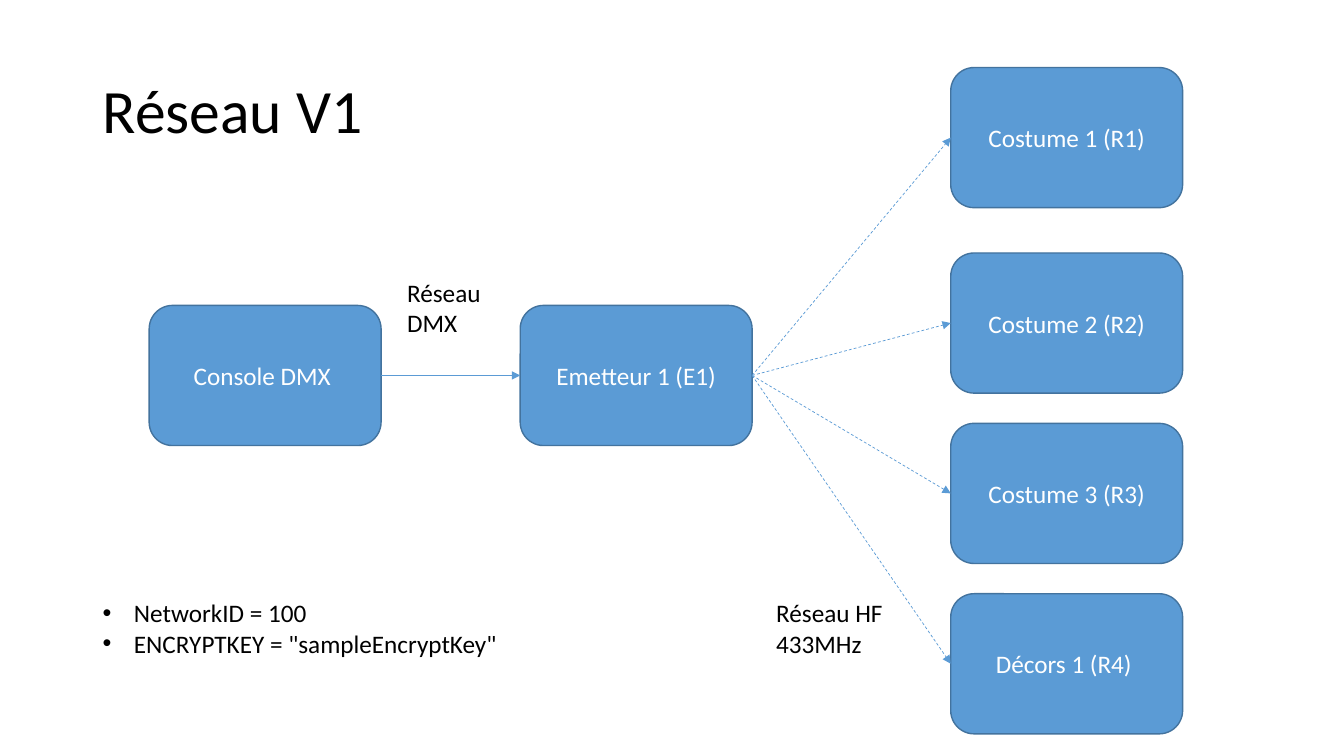
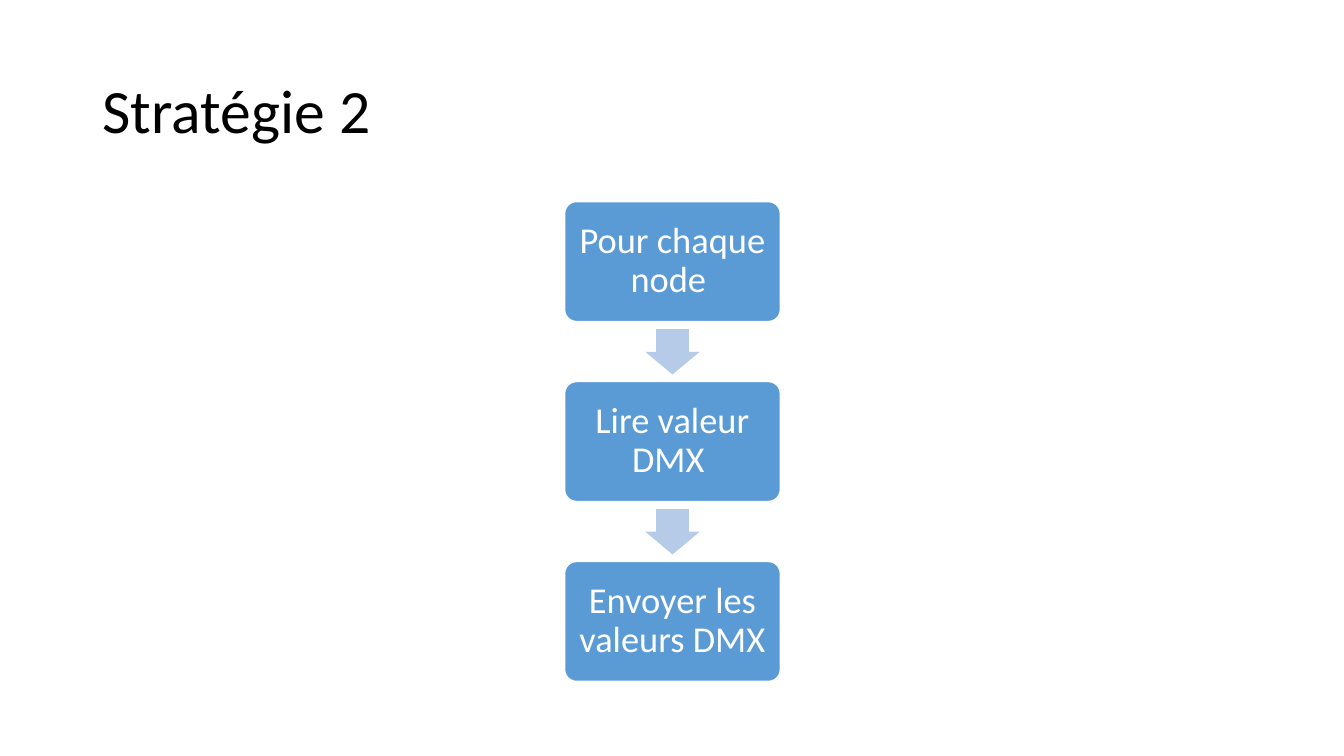
from dataclasses import dataclass
from lxml.etree import SubElement as Sub
from pptx import Presentation
from pptx.dml.color import RGBColor as RGB
from pptx.enum.dml import MSO_LINE as Dash
from pptx.enum.shapes import MSO_CONNECTOR as Link, MSO_SHAPE as Form
from pptx.enum.text import MSO_ANCHOR as Anchor, PP_ALIGN as Align
from pptx.oxml.ns import qn
from pptx.util import Inches, Pt


@dataclass(frozen=True)
class Theme:
    font: str = "Calibri"
    ink: RGB = RGB(0, 0, 0)
    white: RGB = RGB(255, 255, 255)
    blue: RGB = RGB(0x5B, 0x9B, 0xD5)
    edge: RGB = RGB(0x43, 0x73, 0x9E)
    pale: RGB = RGB(0xB5, 0xCB, 0xE7)
    title: int = 44
    step: int = 26
    body: int = 18
    tight: float = 0.9


T = Theme()
LEFT, RIGHT = 1, 3


def write(frame, lines, size, color, align=Align.LEFT, space=1.0):
    frame.word_wrap = True
    for i, line in enumerate(lines):
        para = frame.paragraphs[0] if i == 0 else frame.add_paragraph()
        para.text = line
        para.alignment = align
        para.line_spacing = space
        font = para.font
        font.name, font.size = T.font, Pt(size)
        font.color.rgb = color


def add_text(slide, box, *lines, size=T.body, space=1.0):
    frame = slide.shapes.add_textbox(*map(Inches, box)).text_frame
    write(frame, lines, size, T.ink, space=space)
    return frame


def add_title(deck, text):
    slide = deck.slides.add_slide(deck.slide_layouts[6])
    frame = add_text(slide, (0.92, 0.4, 11.5, 1.45), text,
                     size=T.title, space=T.tight)
    frame.vertical_anchor = Anchor.MIDDLE
    return slide


def add_list(slide, box, *lines):
    frame = add_text(slide, box, *lines)
    for para in frame.paragraphs:
        props = para._p.get_or_add_pPr()
        props.set("marL", str(Inches(0.31)))
        props.set("indent", str(-Inches(0.31)))
        Sub(props, qn("a:buFont"), typeface="Arial")
        Sub(props, qn("a:buChar"), char="•")


def add_form(slide, form, box, fill, line=None):
    shape = slide.shapes.add_shape(form, *map(Inches, box))
    shape.shadow.inherit = False
    shape.fill.solid()
    shape.fill.fore_color.rgb = fill
    if line is None:
        shape.line.fill.background()
    else:
        shape.line.color.rgb = line
        shape.line.width = Pt(1)
    return shape


def add_box(slide, box, text, line=T.edge, size=T.body, space=1.0):
    shape = add_form(slide, Form.ROUNDED_RECTANGLE, box, T.blue, line)
    shape.text_frame.vertical_anchor = Anchor.MIDDLE
    write(shape.text_frame, [text], size, T.white, Align.CENTER, space)
    return shape


def add_node(slide, left, top, text):
    return add_box(slide, (left, top, 2.3, 1.39), text)


def add_link(slide, start, end, dash=None):
    link = slide.shapes.add_connector(Link.STRAIGHT, 0, 0, 0, 0)
    link.begin_connect(start, RIGHT)
    link.end_connect(end, LEFT)
    link.line.color.rgb = T.blue
    link.line.width = Pt(0.5)
    if dash:
        link.line.dash_style = dash
    Sub(link.line._get_or_add_ln(), qn("a:tailEnd"), type="triangle")
    Sub(link._element.spPr, qn("a:effectLst"))


def add_step(slide, top, high, text):
    shape = add_box(slide, (5.6, top, 2.14, high), text, T.white, T.step, T.tight)
    shape.adjustments[0] = 0.1
    frame = shape.text_frame
    frame.margin_left = frame.margin_right = Inches(0.08)
    frame.margin_top = frame.margin_bottom = Inches(0.08)


def add_arrow(slide, top):
    arrow = add_form(slide, Form.DOWN_ARROW, (6.4, top, 0.54, 0.45), T.pale)
    arrow.adjustments[0] = 0.6
    arrow.adjustments[1] = 0.5


def network(deck):
    slide = add_title(deck, "Réseau V1 ")
    desk = add_node(slide, 1.48, 3.03, "Console DMX ")
    sender = add_node(slide, 5.16, 3.03, "Emetteur 1 (E1)")
    add_link(slide, desk, sender)
    nodes = [(0.67, "Costume 1 (R1)"), (2.51, "Costume 2 (R2)"),
             (4.2, "Costume 3 (R3)"), (5.89, "Décors 1 (R4) ")]
    for top, text in nodes:
        add_link(slide, sender, add_node(slide, 9.43, top, text), Dash.DASH)
    add_text(slide, (3.94, 2.7, 1.43, 0.71), "Réseau DMX")
    add_text(slide, (7.6, 5.88, 1.28, 0.71), "Réseau HF 433MHz ")
    add_list(slide, (0.92, 5.88, 4.48, 0.71),
             "NetworkID = 100", 'ENCRYPTKEY = "sampleEncryptKey"')


def strategy(deck):
    slide = add_title(deck, "Stratégie 2 ")
    steps = ["Pour chaque node ", "Lire valeur DMX ", "Envoyer les valeurs DMX "]
    high = 1.19
    for i, text in enumerate(steps):
        top = 2 + i * high * 1.5
        if i:
            add_arrow(slide, top - 0.52)
        add_step(slide, top, high, text)


def main():
    deck = Presentation()
    deck.slide_width, deck.slide_height = Inches(13.33), Inches(7.5)
    network(deck)
    strategy(deck)
    deck.save("out.pptx")


main()
